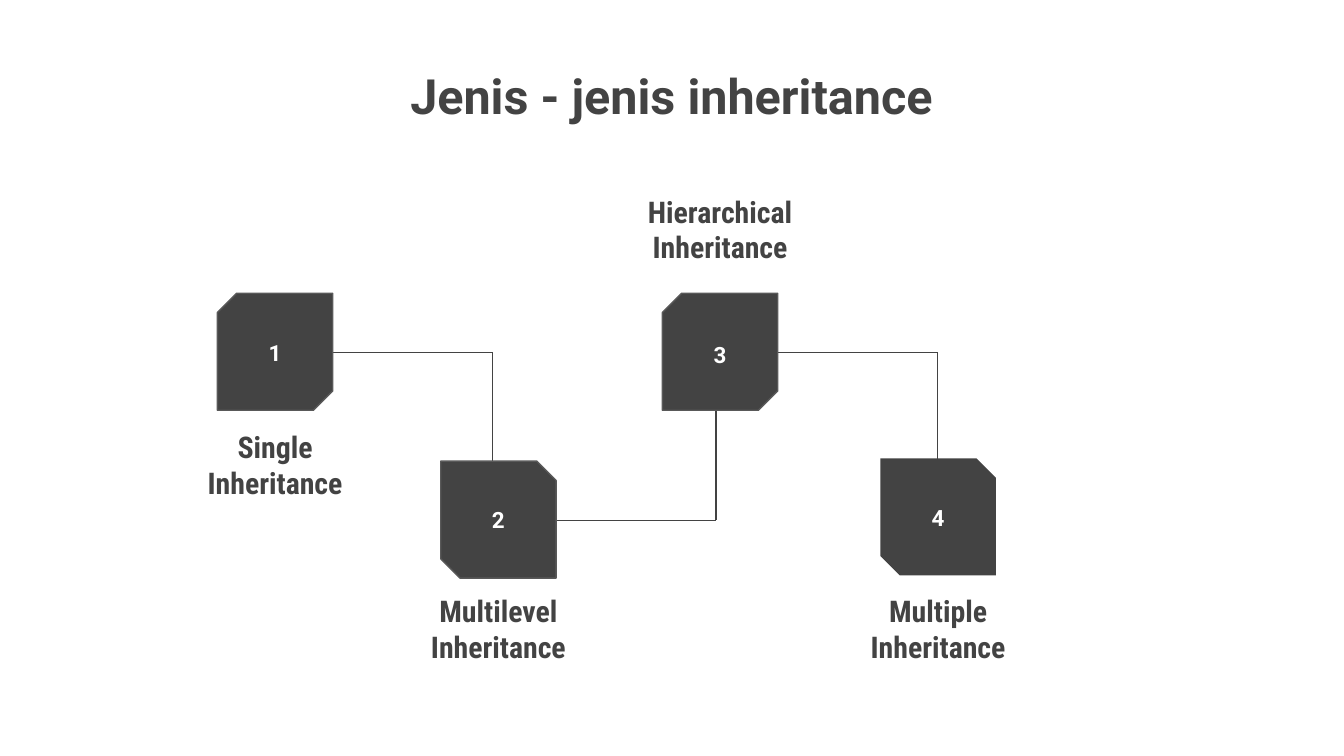
from lxml import etree
from pptx import Presentation
from pptx import util as u
from pptx.dml.color import RGBColor
from pptx.enum import shapes, text
from pptx.oxml.ns import qn

DARK, EDGE, WHITE = "434343", "595959", "FFFFFF"
SQUARE_WIDTH, SQUARE_HEIGHT = 2.18, 2.21
LABEL_WIDTH, LABEL_HEIGHT = 3.91, 1.68
NUMBER_HEIGHT = 1.09
LINK_RUN, LINK_DROP = 4.16, 2.54
SNIP = 0.167


def color(value):
    """Turn a hex string into a colour."""
    return RGBColor.from_string(value)


def add_text(slide, content, box, size, font="Roboto", fill=DARK,
             anchor=text.MSO_ANCHOR.TOP):
    """Place centred bold text in a box given in centimetres."""
    shape = slide.shapes.add_textbox(*map(u.Cm, box))
    frame = shape.text_frame
    frame.word_wrap = True
    frame.vertical_anchor = anchor
    frame.margin_left = frame.margin_right = u.Cm(0.25)
    frame.margin_top = frame.margin_bottom = u.Cm(0.25)
    paragraph = frame.paragraphs[0]
    paragraph.alignment = text.PP_ALIGN.CENTER
    run = paragraph.add_run()
    run.text = content
    run.font.name = font
    run.font.size = u.Pt(size)
    run.font.bold = True
    run.font.color.rgb = color(fill)


def add_line(slide, start, end):
    """Draw a thin straight line between two points."""
    points = map(u.Cm, (*start, *end))
    line = slide.shapes.add_connector(shapes.MSO_CONNECTOR.STRAIGHT, *points)
    line.line.color.rgb = color(DARK)
    line.line.width = u.Pt(0.75)
    etree.SubElement(line._element.spPr, qn("a:effectLst"))


def add_link(slide, left, top, drop):
    """Run a line right from inside a square, then down or up by drop."""
    start = (left + 1.04, top + 1.12)
    corner = (start[0] + LINK_RUN, start[1])
    add_line(slide, start, corner)
    add_line(slide, corner, (corner[0], corner[1] + drop))


def add_step(slide, left, top, number, label, label_offset, raised,
             anchor, outlined):
    """Place a snipped square with its number and label."""
    square = slide.shapes.add_shape(
        shapes.MSO_SHAPE.SNIP_2_DIAG_RECTANGLE,
        *map(u.Cm, (left, top, SQUARE_WIDTH, SQUARE_HEIGHT)))
    square.shadow.inherit = False
    square.adjustments[0] = SNIP if raised else 0
    square.adjustments[1] = 0 if raised else SNIP
    square.fill.solid()
    square.fill.fore_color.rgb = color(DARK)
    if outlined:
        square.line.color.rgb = color(EDGE)
        square.line.width = u.Pt(0.75)
    else:
        square.line.fill.background()
    add_text(slide, number, (left, top + 0.61, SQUARE_WIDTH, NUMBER_HEIGHT),
             12, fill=WHITE, anchor=anchor)
    label_left = left + (SQUARE_WIDTH - LABEL_WIDTH) / 2
    add_text(slide, label,
             (label_left, top + label_offset, LABEL_WIDTH, LABEL_HEIGHT),
             16, font="Roboto Condensed")


def add_steps(slide, steps):
    """Place the links first, then the squares over them."""
    for (left, top, *_), drop in zip(steps, (LINK_DROP, -LINK_DROP, LINK_DROP)):
        add_link(slide, left, top, drop)
    for number, step in enumerate(steps, 1):
        left, top, label, offset, anchor = step
        add_step(slide, left, top, str(number), label, offset,
                 raised=number % 2 == 1, anchor=anchor,
                 outlined=number < len(steps))


def main():
    """Build and save the slide."""
    presentation = Presentation()
    presentation.slide_width = u.Cm(25.4)
    presentation.slide_height = u.Cm(14.28)
    slide = presentation.slides.add_slide(presentation.slide_layouts[6])
    top, middle = text.MSO_ANCHOR.TOP, text.MSO_ANCHOR.MIDDLE
    add_text(slide, "Jenis - jenis inheritance", (5.46, 0.99, 14.48, 2.62), 26)
    add_steps(slide, [
        (4.11, 5.54, "Single Inheritance", 2.31, top),
        (8.33, 8.71, "Multilevel Inheritance", 2.24, top),
        (12.52, 5.54, "Hierarchical Inheritance", -2.14, middle),
        (16.64, 8.66, "Multiple Inheritance", 2.29, top),
    ])
    presentation.save("out.pptx")


if __name__ == "__main__":
    main()
